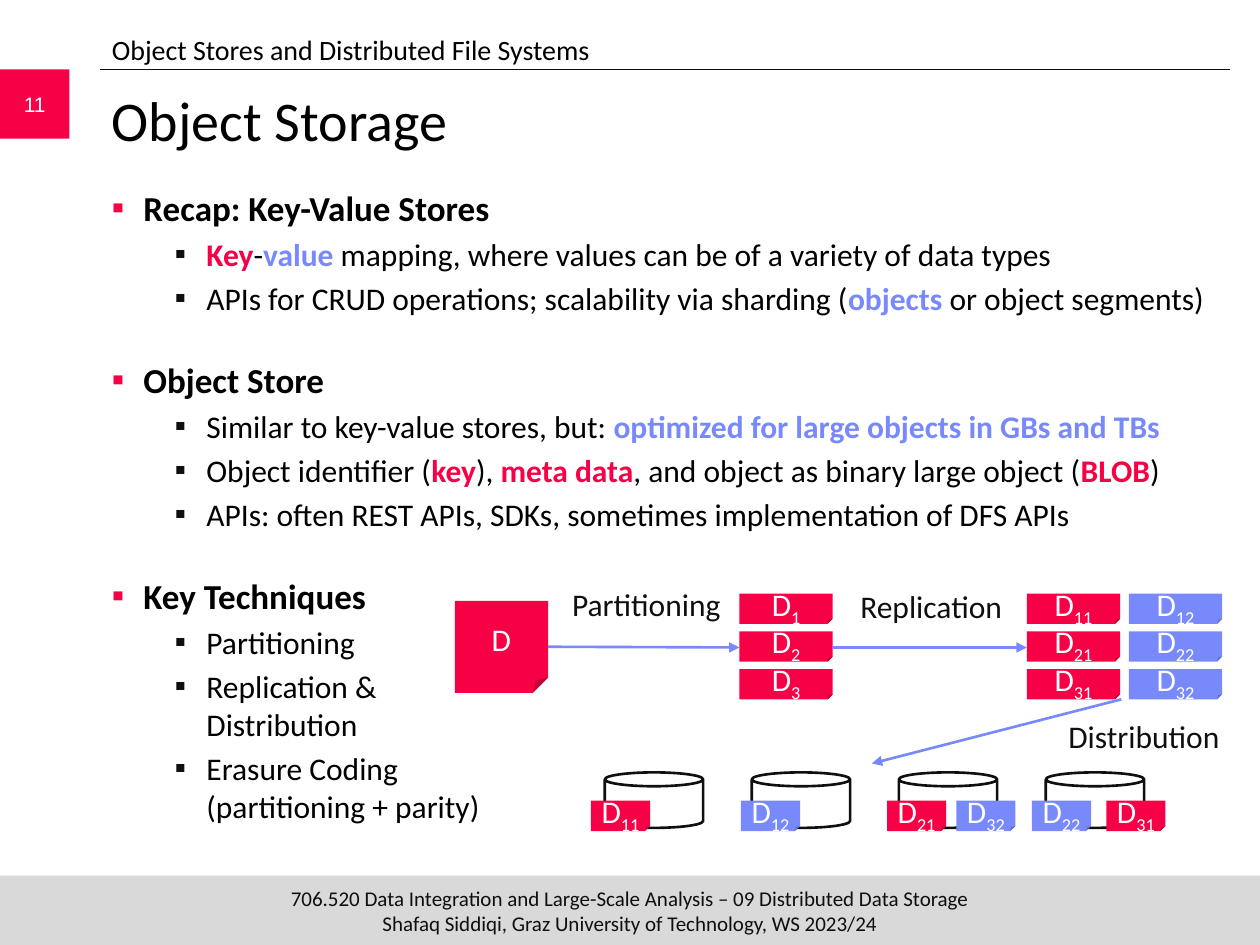
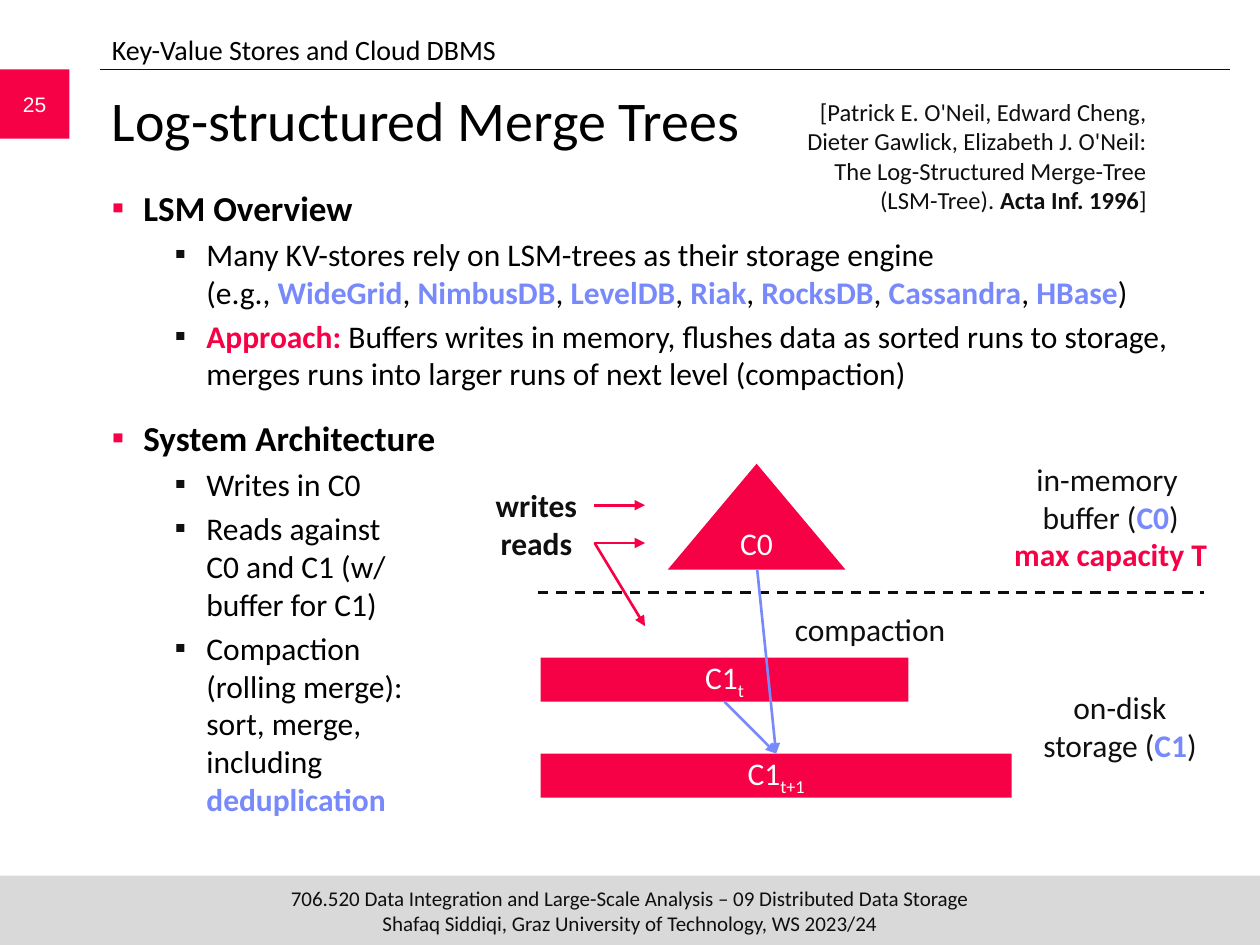
from pptx import Presentation
from pptx.dml.color import RGBColor
from pptx.enum.dml import MSO_LINE
from pptx.enum.shapes import MSO_CONNECTOR, MSO_SHAPE
from pptx.enum.text import MSO_ANCHOR as ANCHOR, PP_ALIGN as ALIGN
from pptx.oxml.ns import qn
from pptx.util import Pt
from lxml.etree import SubElement

RED = RGBColor(0xF7, 0x01, 0x46)
BLUE = RGBColor(0x78, 0x89, 0xFB)
INK = RGBColor(0x0F, 0x0F, 0x0F)
BLACK = RGBColor(0, 0, 0)
WHITE = RGBColor(0xFF, 0xFF, 0xFF)
GREY = RGBColor(0xD9, 0xD9, 0xD9)

BOLD = {"bold": True}
RED_BOLD = {"bold": True, "color": RED}
BLUE_BOLD = {"bold": True, "color": BLUE}
SUB = {"sub": True}

LEFT, CONTENT_W = 56.9, 645
FOOTER = ("706.520 Data Integration and Large-Scale Analysis – 09 Distributed Data Storage",
          "Shafaq Siddiqi, Graz University of Technology, WS 2023/24")


def add_run(p, text, sub=False, color=BLACK, **font):
    """Add one formatted run."""
    r = p.add_run()
    r.text = text
    for name, value in ({"name": "Calibri", "size": Pt(18)} | font).items():
        setattr(r.font, name, value)
    r.font.color.rgb = color
    if sub:
        r._r.get_or_add_rPr().set("baseline", "-25000")


def fill_paragraph(p, parts, **base):
    """Fill a paragraph from strings and (text, format) pairs; newlines become breaks."""
    for part in [parts] if isinstance(parts, str) else parts:
        text, fmt = (part, {}) if isinstance(part, str) else part
        for i, line in enumerate(text.split("\n")):
            if i:
                p.add_line_break()
            if line:
                add_run(p, line, **(base | fmt))


def setup_frame(tf, anchor=ANCHOR.TOP, side=7.2, edge=3.6):
    """Set wrapping, anchor and margins of a text frame."""
    values = {"word_wrap": True, "vertical_anchor": anchor,
              "margin_left": Pt(side), "margin_right": Pt(side),
              "margin_top": Pt(edge), "margin_bottom": Pt(edge)}
    for name, value in values.items():
        setattr(tf, name, value)


def add_text(s, box, parts, align=ALIGN.CENTER, side=0, edge=3.6, **base):
    """Add a text box with one paragraph."""
    tf = s.shapes.add_textbox(*map(Pt, box)).text_frame
    setup_frame(tf, side=side, edge=edge)
    p = tf.paragraphs[0]
    p.alignment = align
    fill_paragraph(p, parts, **({"color": INK} | base))


def add_block(s, kind, box, fill=None, lines=(), side=7.2, edge=0, **base):
    """Add a filled shape, or an outlined one when there is no fill."""
    sp = s.shapes.add_shape(kind, *map(Pt, box))
    sp.shadow.inherit = False
    if fill is None:
        sp.fill.background()
        sp.line.color.rgb = INK
        sp.line.width = Pt(1.5)
    else:
        sp.fill.solid()
        sp.fill.fore_color.rgb = fill
        sp.line.fill.background()
    tf = sp.text_frame
    setup_frame(tf, ANCHOR.MIDDLE, side, edge)
    for i, parts in enumerate(lines):
        p = tf.add_paragraph() if i else tf.paragraphs[0]
        p.alignment = ALIGN.CENTER
        fill_paragraph(p, parts, **({"color": WHITE} | base))


def add_line(s, start, end, color, width=1.5, arrow=True, dash=None):
    """Add a straight line, with an arrowhead at its end by default."""
    c = s.shapes.add_connector(MSO_CONNECTOR.STRAIGHT, *map(Pt, start + end))
    c.line.color.rgb = color
    c.line.width = Pt(width)
    if dash:
        c.line.dash_style = dash
    sppr = c._element.spPr
    if arrow:
        SubElement(sppr.find(qn("a:ln")), qn("a:tailEnd"), type="triangle")
    SubElement(sppr, qn("a:effectLst"))


def add_bullet(p, level, color):
    """Give a paragraph a square bullet and a hanging indent."""
    p.level = level
    ppr = p._p.get_or_add_pPr()
    ppr.set("marL", str(Pt(54 if level else 18)))
    ppr.set("indent", str(Pt(-18)))
    clr = SubElement(ppr, qn("a:buClr"))
    SubElement(clr, qn("a:srgbClr"), val=str(color))
    SubElement(ppr, qn("a:buFont"), typeface="Calibri")
    SubElement(ppr, qn("a:buChar"), char="▪")


def add_outline(s, sections, gap):
    """Add the bulleted body: bold headings with items below each."""
    tf = s.shapes.add_textbox(Pt(LEFT), Pt(103), Pt(CONTENT_W), Pt(389)).text_frame
    setup_frame(tf)
    for n, (heading, items) in enumerate(sections):
        p = tf.add_paragraph() if n else tf.paragraphs[0]
        add_bullet(p, 0, RED)
        p.space_before = Pt(gap if n else 0)
        fill_paragraph(p, heading, size=Pt(20), bold=True)
        for item in items:
            p = tf.add_paragraph()
            add_bullet(p, 1, INK)
            p.space_before = Pt(3.6)
            fill_paragraph(p, item)


def add_base(prs, number, topic, title):
    """Add a slide with its footer, rule, page number, topic and title."""
    s = prs.slides.add_slide(prs.slide_layouts[6])
    add_block(s, MSO_SHAPE.RECTANGLE, (0, 500.4, 720, 39.6), GREY, FOOTER,
              size=Pt(12), color=INK)
    add_line(s, (LEFT, 39.6), (702.7, 39.6), INK, 0.5, arrow=False)
    add_block(s, MSO_SHAPE.RECTANGLE, (0, 39.6, 39.6, 39.6), RED, [number],
              name="Arial", size=Pt(12))
    heading = {"align": ALIGN.LEFT, "side": 7.2, "color": BLACK}
    add_text(s, (LEFT, 45.4, CONTENT_W, 59.8), title, size=Pt(32), **heading)
    add_text(s, (LEFT, 15.1, CONTENT_W, 25.9), topic, size=Pt(16), **heading)
    return s


def add_part(s, x, y, index, fill=RED, w=53.3, side=7.2):
    """Add a data partition labelled D with its index."""
    add_block(s, MSO_SHAPE.FOLDED_CORNER, (x, y, w, 17.3), fill,
              [["D", (index, SUB)]], side=side)


def add_object_storage(prs):
    """Build the object storage slide."""
    s = add_base(prs, "11", "Object Stores and Distributed File Systems", "Object Storage")
    add_outline(s, [
        ("Recap: Key-Value Stores", [
            [("Key", RED_BOLD), "-", ("value", BLUE_BOLD),
             " mapping, where values can be of a variety of data types"],
            ["APIs for CRUD operations; scalability via sharding (",
             ("objects", BLUE_BOLD), " or object segments)"]]),
        ("Object Store", [
            ["Similar to key-value stores, but: ",
             ("optimized for large objects in GBs and TBs", BLUE_BOLD)],
            ["Object identifier (", ("key", RED_BOLD), "), ", ("meta data", RED_BOLD),
             ", and object as binary large object (", ("BLOB", RED_BOLD), ")"],
            "APIs: often REST APIs, SDKs, sometimes implementation of DFS APIs"]),
        ("Key Techniques", [
            "Partitioning",
            "Replication &\nDistribution",
            "Erasure Coding\n(partitioning + parity)"])], gap=23.9)

    add_block(s, MSO_SHAPE.FOLDED_CORNER, (259.9, 343.4, 53.3, 52.6), RED, ["D"])
    for i in range(3):
        y = 339.2 + 21.6 * i
        add_part(s, 422.6, y, f"{i + 1}")
        add_part(s, 586.8, y, f"{i + 1}1")
        add_part(s, 645.1, y, f"{i + 1}2", BLUE)
    add_line(s, (313.2, 369.6), (422.6, 370), BLUE)
    add_line(s, (475.9, 370), (586.8, 370), BLUE)

    for i in range(4):
        add_block(s, MSO_SHAPE.CAN, (345.6 + 84 * i, 441.4, 56.2, 31.7))
    for x, index, fill in [(337.7, "11", RED), (423.4, "12", BLUE), (506.9, "21", RED),
                           (546.5, "32", BLUE), (589.7, "22", BLUE), (632.2, "31", RED)]:
        add_part(s, x, 457.6, index, fill, w=33.8, side=0)
    add_line(s, (640.8, 399.6), (498.2, 436.3), BLUE)

    for x, y, label in [(325.4, 330.5, "Partitioning"), (488.2, 332, "Replication"),
                        (609.8, 406.1, "Distribution")]:
        add_text(s, (x, y, 87.8, 28.8), label)


def add_merge_trees(prs):
    """Build the log-structured merge tree slide."""
    s = add_base(prs, "25", "Key-Value Stores and Cloud DBMS", "Log-structured Merge Trees")
    stores = ["WideGrid", "NimbusDB", "LevelDB", "Riak", "RocksDB", "Cassandra", "HBase"]
    engines = ["Many KV-stores rely on LSM-trees as their storage engine\n(e.g., "]
    for store in stores:
        engines += [(store, BLUE_BOLD), ", "]
    engines[-1] = ")"
    add_outline(s, [
        ("LSM Overview", [
            engines,
            [("Approach: ", RED_BOLD),
             "Buffers writes in memory, flushes data as sorted runs to storage,\n"
             "merges runs into larger runs of next level (compaction)"]]),
        ("System Architecture", [
            "Writes in C0",
            "Reads against\nC0 and C1 (w/\nbuffer for C1)",
            ["Compaction\n(rolling merge):\nsort, merge,\nincluding\n",
             ("deduplication", BLUE_BOLD)]])], gap=13.9)
    add_text(s, (452.9, 51.8, 202.3, 74.9),
             ["[Patrick E. O'Neil, Edward Cheng, Dieter Gawlick, Elizabeth J. O'Neil: "
              "The Log-Structured Merge-Tree (LSM-Tree). ", ("Acta Inf. 1996", BOLD), "]"],
             ALIGN.RIGHT, size=Pt(14))

    add_block(s, MSO_SHAPE.ISOSCELES_TRIANGLE, (381.6, 265, 101.5, 60.5), RED, ["C0"], edge=3.6)
    for y, w, index in [(375.8, 210.2, "t"), (430.6, 269.3, "t+1")]:
        add_block(s, MSO_SHAPE.RECTANGLE, (308.9, y, w, 25.2), RED,
                  [["C1", (index, SUB)]], edge=3.6)
    for y, label in [(277.9, "writes "), (299.5, "reads ")]:
        add_text(s, (277.6, y, 61.9, 21.6), label, edge=0, bold=True)
        add_line(s, (339.5, y + 10.8), (368.6, y + 10.8), RED)
    add_line(s, (339.8, 310.3), (368.6, 357.8), RED)
    add_line(s, (307.4, 338.4), (688.3, 338.4), INK, arrow=False, dash=MSO_LINE.DASH)
    for start in [(414, 401), (432.7, 325.4)]:
        add_line(s, start, (443.5, 430.6), BLUE)

    add_text(s, (436.3, 344.9, 121.7, 28.8), "compaction")
    add_text(s, (565.2, 259.2, 139, 72.7),
             ["in-memory \nbuffer (", ("C0", BLUE_BOLD), ")\n", ("max capacity T", RED_BOLD)])
    add_text(s, (591.8, 389.5, 96.5, 51.1), ["on-disk storage (", ("C1", BLUE_BOLD), ")"])


def main():
    """Build and save the presentation."""
    prs = Presentation()
    prs.slide_width, prs.slide_height = Pt(720), Pt(540)
    add_object_storage(prs)
    add_merge_trees(prs)
    prs.save("out.pptx")


if __name__ == "__main__":
    main()
